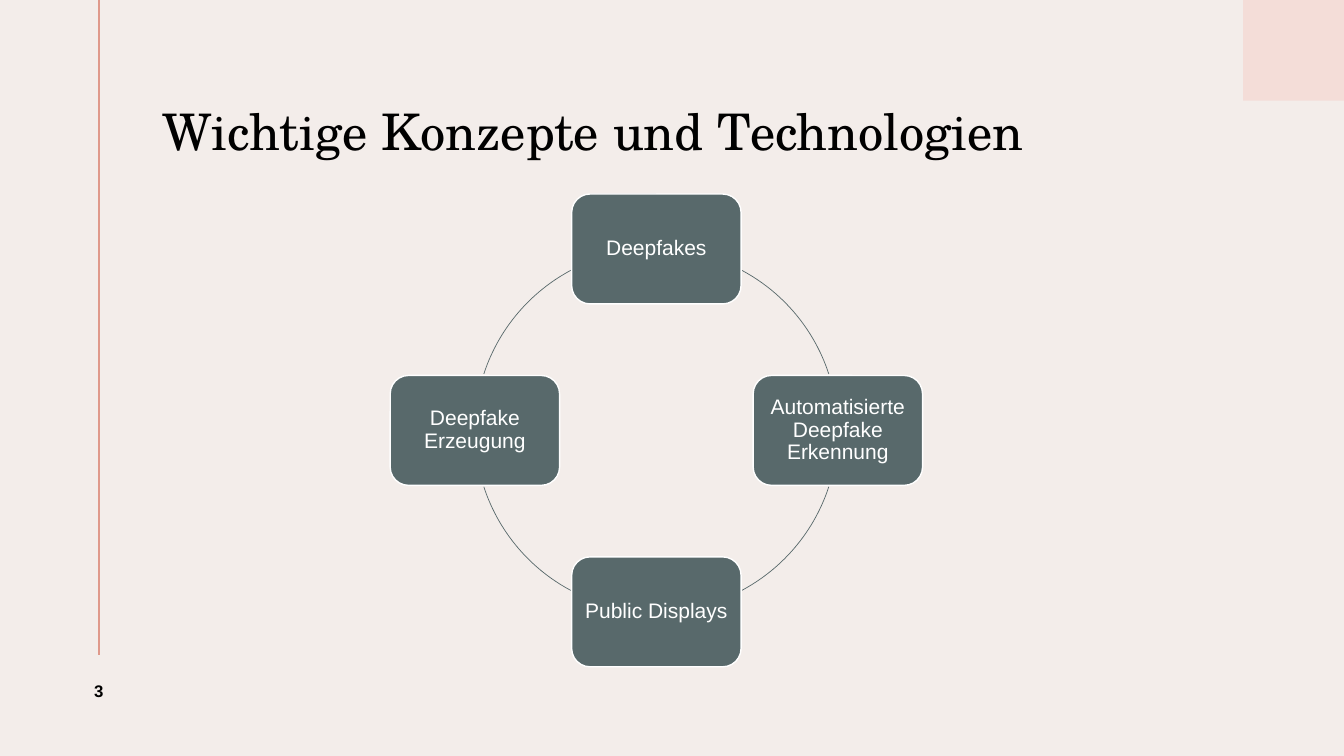
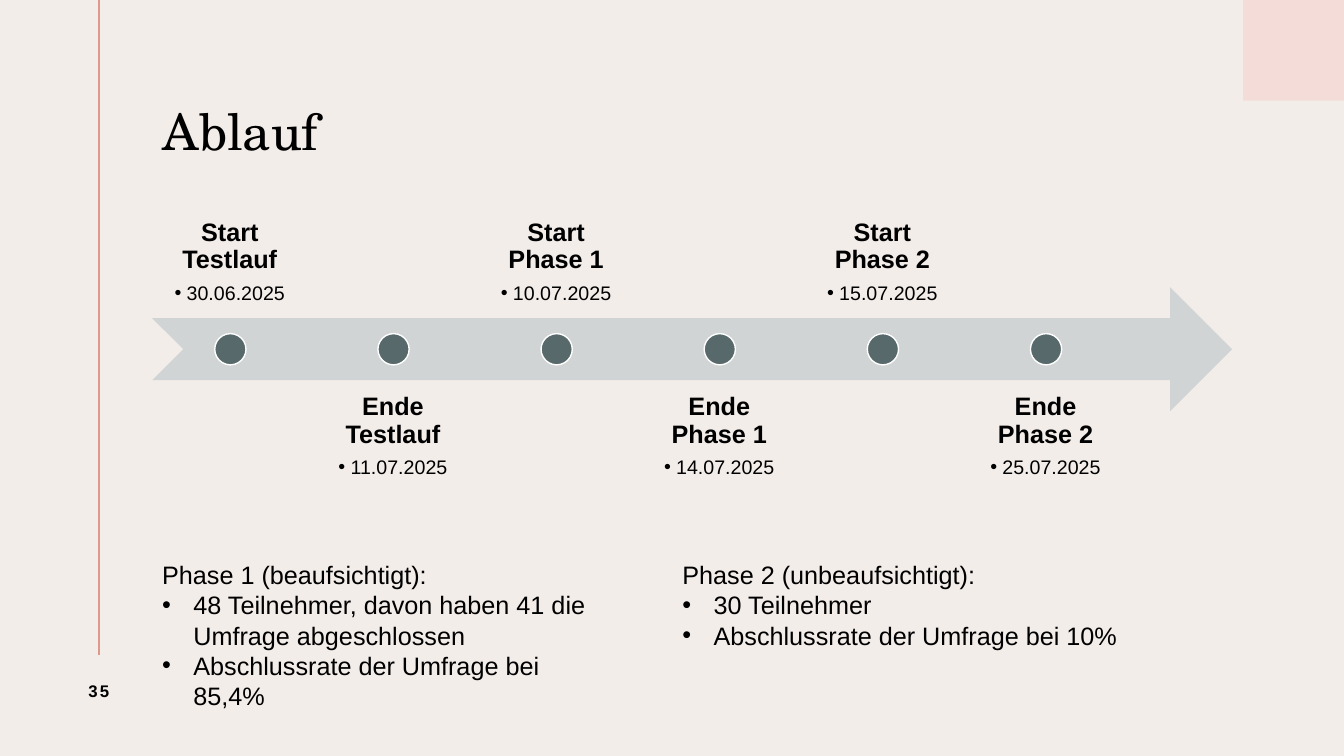
"""Builds two slides: a ring of concepts and a study timeline."""
import dataclasses

import lxml.etree
import pptx
import pptx.dml.color
import pptx.enum.shapes
import pptx.enum.text
import pptx.oxml.ns
import pptx.util

Inches = pptx.util.Inches
Pt = pptx.util.Pt
Kind = pptx.enum.shapes.MSO_SHAPE
Align = pptx.enum.text.PP_ALIGN
Anchor = pptx.enum.text.MSO_ANCHOR
Fit = pptx.enum.text.MSO_AUTO_SIZE
qn = pptx.oxml.ns.qn


@dataclasses.dataclass(frozen=True)
class Theme:
    paper: str = "F3EDEA"
    blush: str = "F4DDD8"
    rose: str = "DF998B"
    slate: str = "58696B"
    mist: str = "D1D4D4"
    white: str = "FFFFFF"
    ink: str = "000000"
    serif: str = "TeX Gyre Schola"
    sans: str = "Arial"
    title: float = 36
    body: float = 18
    node: float = 15
    date: float = 14
    page: float = 12


def color(code):
    return pptx.dml.color.RGBColor.from_string(code)


def apply(target, values):
    for name, value in values.items():
        setattr(target, name, value)


class Deck:
    def __init__(self, theme):
        self.theme = theme
        self.show = pptx.Presentation()
        apply(self.show, {"slide_width": Inches(13.33), "slide_height": Inches(7.5)})
        fill = self.show.slide_master.background.fill
        fill.solid()
        fill.fore_color.rgb = color(theme.paper)

    def start(self, title, page):
        look = self.theme
        self.slide = self.show.slides.add_slide(self.show.slide_layouts[6])
        self.shape(Kind.RECTANGLE, (12.33, 0, 1, 1), look.blush)
        self.rule((0.98, 0), (0.98, 6.5))
        box = self.box((1.61, 0.55, 10.73, 1.56), (0, 0.05, 0.1, 0.05), Anchor.MIDDLE)
        self.para(box, title, look.title, face=look.serif, form={"line_spacing": 0.9})
        box = self.box((0.45, 6.5, 1.06, 0.71), anchor=Anchor.MIDDLE)
        run = self.para(box, page, look.page, bold=True, form={"alignment": Align.CENTER})
        run._r.get_or_add_rPr().set("spc", "150")

    def shape(self, kind, place, fill=None, line=None, width=1):
        item = self.slide.shapes.add_shape(kind, *map(Inches, place))
        item.shadow.inherit = False
        for part, code in ((item.fill, fill), (item.line.fill, line)):
            if code:
                part.solid()
                part.fore_color.rgb = color(code)
            else:
                part.background()
        if line:
            item.line.width = Pt(width)
        return item

    def arc(self, place, start, end):
        item = self.shape(Kind.ARC, place, line=self.theme.slate, width=0.5)
        for spot, angle in enumerate((start, end)):
            item.adjustments[spot] = angle * 0.6

    def rule(self, start, end):
        kind = pptx.enum.shapes.MSO_CONNECTOR.STRAIGHT
        line = self.slide.shapes.add_connector(kind, *map(Inches, start + end))
        line.line.color.rgb = color(self.theme.rose)
        line.line.width = Pt(1.5)
        lxml.etree.SubElement(line._element.spPr, qn("a:effectLst"))

    def frame(self, item, inset, anchor):
        sides = ("margin_left", "margin_top", "margin_right", "margin_bottom")
        apply(item.text_frame, dict(zip(sides, map(Inches, inset))))
        apply(item.text_frame, {"word_wrap": True, "vertical_anchor": anchor})
        return item.text_frame

    def box(self, place, inset=(0.1, 0.05, 0.1, 0.05), anchor=Anchor.TOP):
        item = self.slide.shapes.add_textbox(*map(Inches, place))
        return self.frame(item, inset, anchor)

    def para(self, frame, text, size, bold=False, face=None, ink=None, form=None, hang=0):
        first = frame.paragraphs[0]
        para = frame.add_paragraph() if first.runs else first
        apply(para, form or {})
        if hang:
            props = para._p.get_or_add_pPr()
            props.set("marL", str(Inches(hang)))
            props.set("indent", str(-Inches(hang)))
            font = lxml.etree.SubElement(props, qn("a:buFont"))
            font.set("typeface", self.theme.sans)
            lxml.etree.SubElement(props, qn("a:buChar")).set("char", "•")
        run = para.add_run()
        run.text = text
        apply(run.font, {"size": Pt(size), "bold": bold, "name": face or self.theme.sans})
        run.font.color.rgb = color(ink or self.theme.ink)
        return run

    def node(self, text, mid, size):
        look = self.theme
        place = (mid[0] - size[0] / 2, mid[1] - size[1] / 2, *size)
        item = self.shape(Kind.ROUNDED_RECTANGLE, place, look.slate, look.white)
        frame = self.frame(item, (0.06,) * 4, Anchor.MIDDLE)
        form = {"alignment": Align.CENTER, "line_spacing": 0.9}
        self.para(frame, text, look.node, ink=look.white, form=form)

    def event(self, left, text, date, above):
        look = self.theme
        top, anchor = (1.93, Anchor.BOTTOM) if above else (3.77, Anchor.TOP)
        frame = self.box((left, top, 1.54, 1.23), (0.14,) * 4, anchor)
        form = {"alignment": Align.CENTER, "line_spacing": 0.9}
        head = form | {"space_after": Pt(look.body * 0.35)}
        self.para(frame, text, look.body, bold=True, form=head)
        foot = form | {"space_after": Pt(look.date * 0.15)}
        self.para(frame, date, look.date, form=foot, hang=0.12)
        self.shape(Kind.OVAL, (left + 0.62, 3.31, 0.31, 0.31), look.slate, look.white)

    def notes(self, place, head, items):
        frame = self.box(place)
        frame.auto_size = Fit.SHAPE_TO_FIT_TEXT
        self.para(frame, head, self.theme.body)
        for text in items:
            self.para(frame, text, self.theme.body, hang=0.31)


def ring(deck):
    deck.start("Wichtige Konzepte und Technologien", "3")
    x, y, reach = 6.51, 4.27, 1.8
    for mid in (320, 40, 140, 220):
        place = (x - reach, y - reach, 2 * reach, 2 * reach)
        deck.arc(place, mid - 21.9, mid + 21.9)
    nodes = (
        ("Deepfakes", 0, -1),
        ("Automatisierte Deepfake Erkennung", 1, 0),
        ("Public Displays", 0, 1),
        ("Deepfake Erzeugung", -1, 0),
    )
    for text, across, down in nodes:
        deck.node(text, (x + across * reach, y + down * reach), (1.68, 1.09))


def course(deck):
    deck.start("Ablauf", "35")
    deck.shape(Kind.NOTCHED_RIGHT_ARROW, (1.51, 2.85, 10.71, 1.23), deck.theme.mist)
    events = (
        ("Start Testlauf", "30.06.2025"),
        ("Ende Testlauf", "11.07.2025"),
        ("Start Phase 1", "10.07.2025"),
        ("Ende Phase 1", "14.07.2025"),
        ("Start Phase 2", "15.07.2025"),
        ("Ende Phase 2", "25.07.2025"),
    )
    for spot, (text, date) in enumerate(events):
        deck.event(1.51 + spot * 1.618, text, date, spot % 2 == 0)
    deck.notes((1.51, 5.5, 4.64, 1.62), "Phase 1 (beaufsichtigt):", (
        "48 Teilnehmer, davon haben 41 die Umfrage abgeschlossen",
        "Abschlussrate der Umfrage bei 85,4%",
    ))
    deck.notes((6.67, 5.5, 4.64, 1.01), "Phase 2 (unbeaufsichtigt):", (
        "30 Teilnehmer",
        "Abschlussrate der Umfrage bei 10%",
    ))


def main():
    deck = Deck(Theme())
    ring(deck)
    course(deck)
    deck.show.save("out.pptx")


if __name__ == "__main__":
    main()
